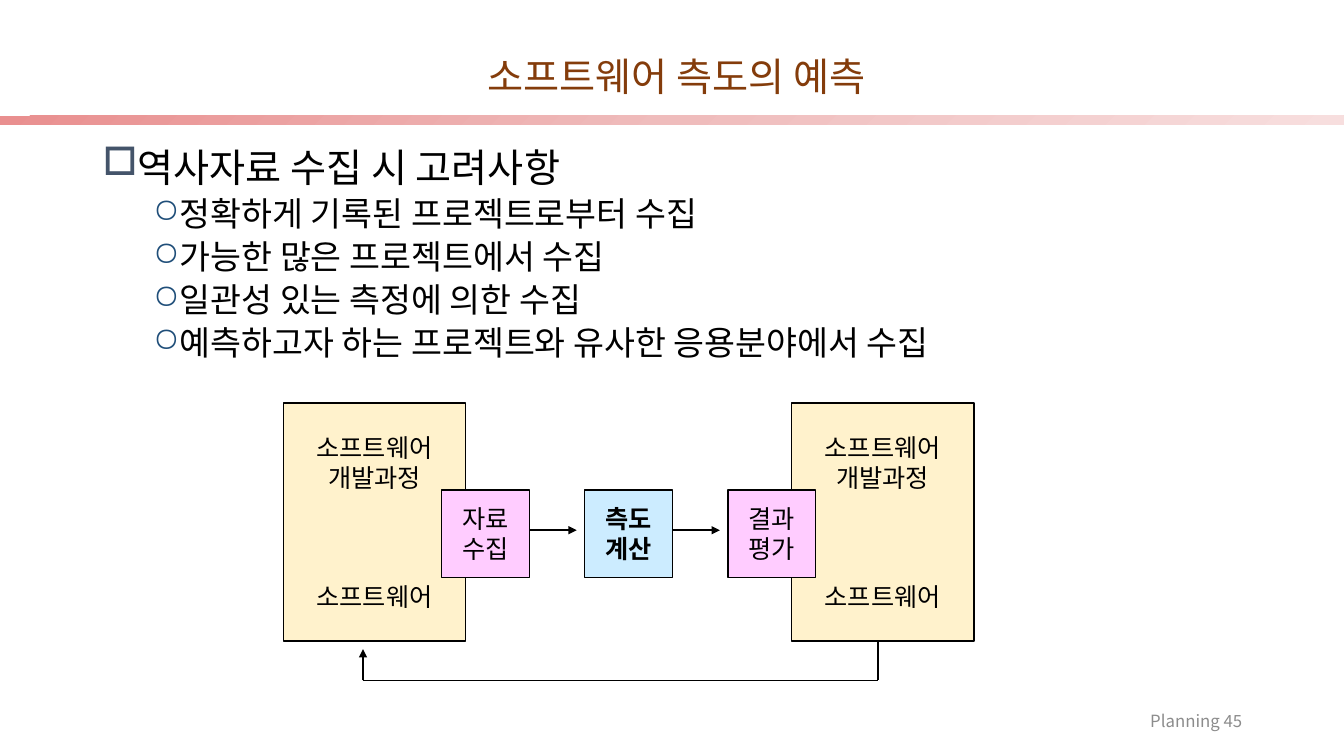
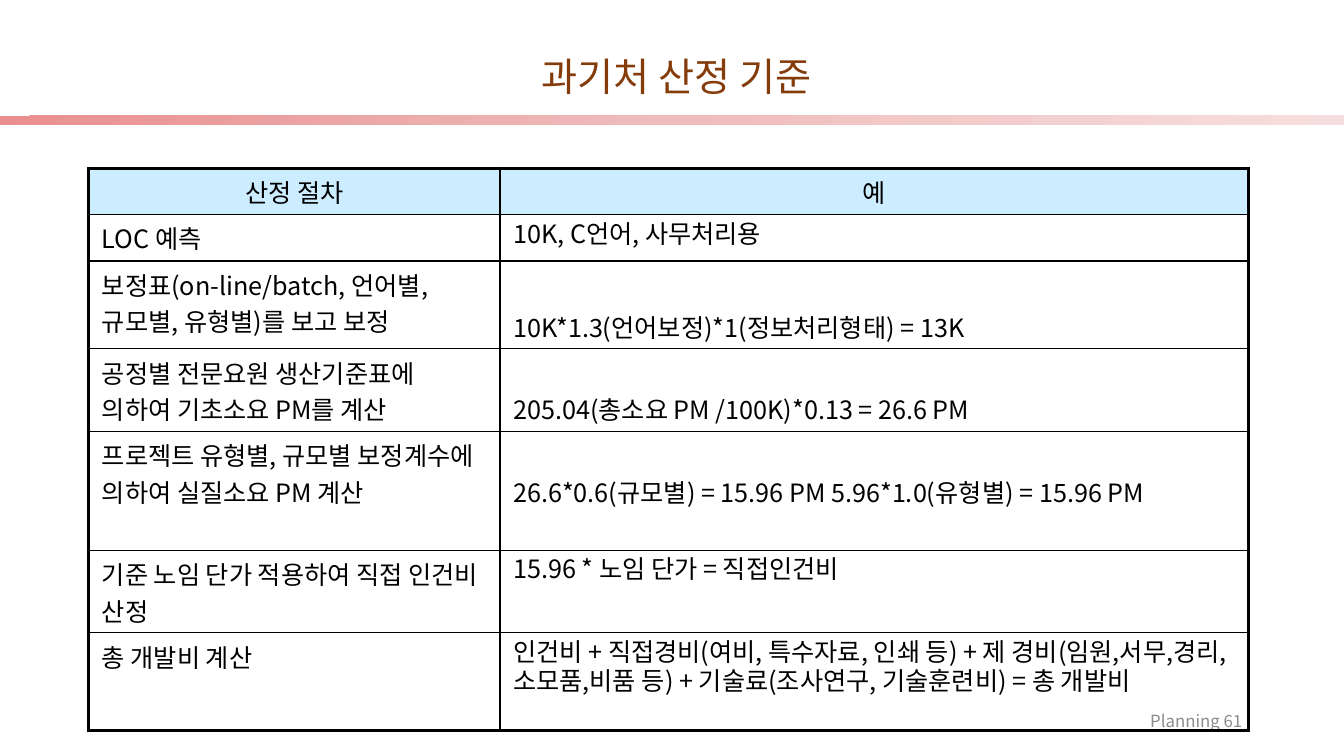
import copy

from lxml import etree
from pptx import Presentation
from pptx import util as u
from pptx.dml.color import RGBColor
from pptx.enum import shapes, text
from pptx.oxml.ns import qn

PX = 9144
FONT = "Noto Sans CJK KR"
COLORS = {
    "black": "000000",
    "title": "843C0B",
    "footer": "8C8C8C",
    "band_start": "E98F8F",
    "band_middle": "EFBCBC",
    "band_end": "F7DEDE",
    "square_bullet": "44546A",
    "round_bullet": "1F4E79",
    "cream": "FFF2CC",
    "pink": "FFCCFF",
    "sky": "CCECFF",
}
RGB = {name: RGBColor.from_string(value) for name, value in COLORS.items()}


def write(paragraph, words, size, color="black", bold=False):
    run = paragraph.add_run()
    run.text = words
    run.font.name = FONT
    run.font.size = u.Pt(size)
    run.font.bold = bold
    run.font.color.rgb = RGB[color]
    etree.SubElement(run.font._element, qn("a:ea"), typeface=FONT)


def add_page(title_words, number):
    slide = presentation.slides.add_slide(presentation.slide_layouts[5])
    band = slide.shapes.add_shape(shapes.MSO_SHAPE.RECTANGLE, 0, 115 * PX, 1333 * PX, 9 * PX)
    band.shadow.inherit = False
    band.line.fill.background()
    band.fill.gradient()
    band.fill.gradient_angle = 315
    first, last = band.fill.gradient_stops
    first.position, last.position = 0, 0.5
    first.color.rgb, last.color.rgb = RGB["band_start"], RGB["band_middle"]
    stop_list = band.element.xpath(".//a:gsLst")[0]
    stop_list.append(copy.deepcopy(stop_list[-1]))
    end = band.fill.gradient_stops[2]
    end.position = 1
    end.color.rgb = RGB["band_end"]

    title = slide.shapes.title
    title.left, title.top, title.width, title.height = [n * PX for n in (60, 48, 1222, 61)]
    title.text_frame.vertical_anchor = text.MSO_ANCHOR.MIDDLE
    paragraph = title.text_frame.paragraphs[0]
    paragraph.alignment = text.PP_ALIGN.CENTER
    paragraph.line_spacing = 0.9
    write(paragraph, title_words, 28, "title")

    footer = slide.shapes.add_textbox(942 * PX, 695 * PX, 300 * PX, 40 * PX)
    footer.text_frame.word_wrap = True
    footer.text_frame.vertical_anchor = text.MSO_ANCHOR.MIDDLE
    paragraph = footer.text_frame.paragraphs[0]
    paragraph.alignment = text.PP_ALIGN.RIGHT
    write(paragraph, f"Planning {number}", 12, "footer")
    return slide


presentation = Presentation()
presentation.slide_width = 1333 * PX
presentation.slide_height = 750 * PX

slide = add_page("소프트웨어 측도의 예측", 45)
body = slide.shapes.add_textbox(92 * PX, 142 * PX, 1150 * PX, 230 * PX)
body.text_frame.word_wrap = True
considerations = [
    "역사자료 수집 시 고려사항",
    "정확하게 기록된 프로젝트로부터 수집",
    "가능한 많은 프로젝트에서 수집",
    "일관성 있는 측정에 의한 수집",
    "예측하고자 하는 프로젝트와 유사한 응용분야에서 수집",
]
for index, words in enumerate(considerations):
    if index == 0:
        paragraph = body.text_frame.paragraphs[0]
        size, leading, before, indent = 28, 30, 0, 25
        bullet, bullet_color = "□", "square_bullet"
    else:
        paragraph = body.text_frame.add_paragraph()
        paragraph.level = 1
        size, leading, before, indent = 24, 25.7, 5, 75
        bullet, bullet_color = "○", "round_bullet"
    paragraph.line_spacing = u.Pt(leading)
    paragraph.space_before = u.Pt(before)
    properties = paragraph._p.get_or_add_pPr()
    properties.set("marL", str(indent * PX))
    properties.set("indent", str(-25 * PX))
    color = etree.SubElement(properties, qn("a:buClr"))
    etree.SubElement(color, qn("a:srgbClr"), val=COLORS[bullet_color])
    etree.SubElement(properties, qn("a:buChar"), char=bullet)
    write(paragraph, words, size)

process_lines = ["소프트웨어", "개발과정", "소프트웨어"]
boxes = [
    (281, 400, 181, 236, "cream", process_lines, False),
    (785, 400, 181, 236, "cream", process_lines, False),
    (438, 486, 87, 87, "pink", ["자료", "수집"], False),
    (580, 486, 87, 87, "sky", ["측도", "계산"], True),
    (722, 486, 87, 87, "pink", ["결과", "평가"], False),
]
for left, top, width, height, fill, lines, bold in boxes:
    box = slide.shapes.add_shape(
        shapes.MSO_SHAPE.RECTANGLE, left * PX, top * PX, width * PX, height * PX)
    box.shadow.inherit = False
    box.fill.solid()
    box.fill.fore_color.rgb = RGB[fill]
    box.line.color.rgb = RGB["black"]
    box.line.width = u.Pt(1)
    frame = box.text_frame
    frame.word_wrap = False
    frame.vertical_anchor = text.MSO_ANCHOR.MIDDLE
    for index, words in enumerate(lines):
        paragraph = frame.add_paragraph() if index else frame.paragraphs[0]
        paragraph.alignment = text.PP_ALIGN.CENTER
        paragraph.line_spacing = u.Pt(21.4)
        paragraph.space_before = u.Pt(64 if index == 2 else 0)
        write(paragraph, words, 18, bold=bold)

lines = [
    (525, 526, 572, 526, True),
    (667, 526, 714, 526, True),
    (360, 675, 360, 644, True),
    (360, 675, 871, 675, False),
    (871, 636, 871, 675, False),
]
for start_x, start_y, end_x, end_y, arrow in lines:
    connector = slide.shapes.add_connector(
        shapes.MSO_CONNECTOR.STRAIGHT, start_x * PX, start_y * PX, end_x * PX, end_y * PX)
    connector.line.color.rgb = RGB["black"]
    connector.line.width = u.Pt(1)
    if arrow:
        outline = connector.element.xpath("./p:spPr/a:ln")[0]
        etree.SubElement(outline, qn("a:tailEnd"), type="triangle")
    etree.SubElement(connector.element.spPr, qn("a:effectLst"))

slide = add_page("과기처 산정 기준", 61)
rows = [
    (46, "산정 절차", "예", 1, 5),
    (46, "LOC 예측", "10K, C언어, 사무처리용", 0.8, 5),
    (87, "보정표(on-line/batch, 언어별, 규모별, 유형별)를 보고 보정",
     "10K*1.3(언어보정)*1(정보처리형태) = 13K", 1, 47),
    (82, "공정별 전문요원 생산기준표에 의하여 기초소요 PM를 계산",
     "205.04(총소요 PM /100K)*0.13 = 26.6 PM", 0.8, 47),
    (118, "프로젝트 유형별, 규모별 보정계수에 의하여 실질소요 PM 계산",
     "26.6*0.6(규모별) = 15.96 PM 5.96*1.0(유형별) = 15.96 PM", 0.8, 47),
    (82, "기준 노임 단가 적용하여 직접 인건비 산정",
     "15.96 * 노임 단가 = 직접인건비", 0.8, 5),
    (97, "총 개발비 계산",
     "인건비 + 직접경비(여비, 특수자료, 인쇄 등) + 제 경비(임원,서무,경리,소모품,비품 등)"
     " + 기술료(조사연구, 기술훈련비) = 총 개발비", 0.8, 5),
]
total_height = sum(row[0] for row in rows)
frame = slide.shapes.add_table(
    len(rows), 2, 88 * PX, 167 * PX, 1150 * PX, total_height * PX)
table = frame.table
table.first_row = False
table.horz_banding = False
table.columns[0].width = 408 * PX
table.columns[1].width = 742 * PX
for row_index, (height, step, example, spacing, example_top) in enumerate(rows):
    table.rows[row_index].height = height * PX
    for column_index, words in enumerate((step, example)):
        cell = table.cell(row_index, column_index)
        cell.margin_left = cell.margin_right = 13 * PX
        cell.margin_top = (example_top if column_index else 5) * PX
        cell.margin_bottom = 5 * PX
        paragraph = cell.text_frame.paragraphs[0]
        if row_index == 0:
            paragraph.alignment = text.PP_ALIGN.CENTER
        paragraph.line_spacing = spacing if column_index else 1.0
        write(paragraph, words, 18)
        outer_sides = {
            "L": column_index == 0,
            "R": column_index == 1,
            "T": row_index == 0,
            "B": row_index == len(rows) - 1,
        }
        properties = cell._tc.get_or_add_tcPr()
        for side, outer in outer_sides.items():
            width = u.Pt(2.25 if outer else 1)
            border = etree.SubElement(properties, qn(f"a:ln{side}"), w=str(width))
            fill = etree.SubElement(border, qn("a:solidFill"))
            etree.SubElement(fill, qn("a:srgbClr"), val=COLORS["black"])
        if row_index == 0:
            cell.fill.solid()
            cell.fill.fore_color.rgb = RGB["sky"]
        else:
            cell.fill.background()

presentation.save("out.pptx")
